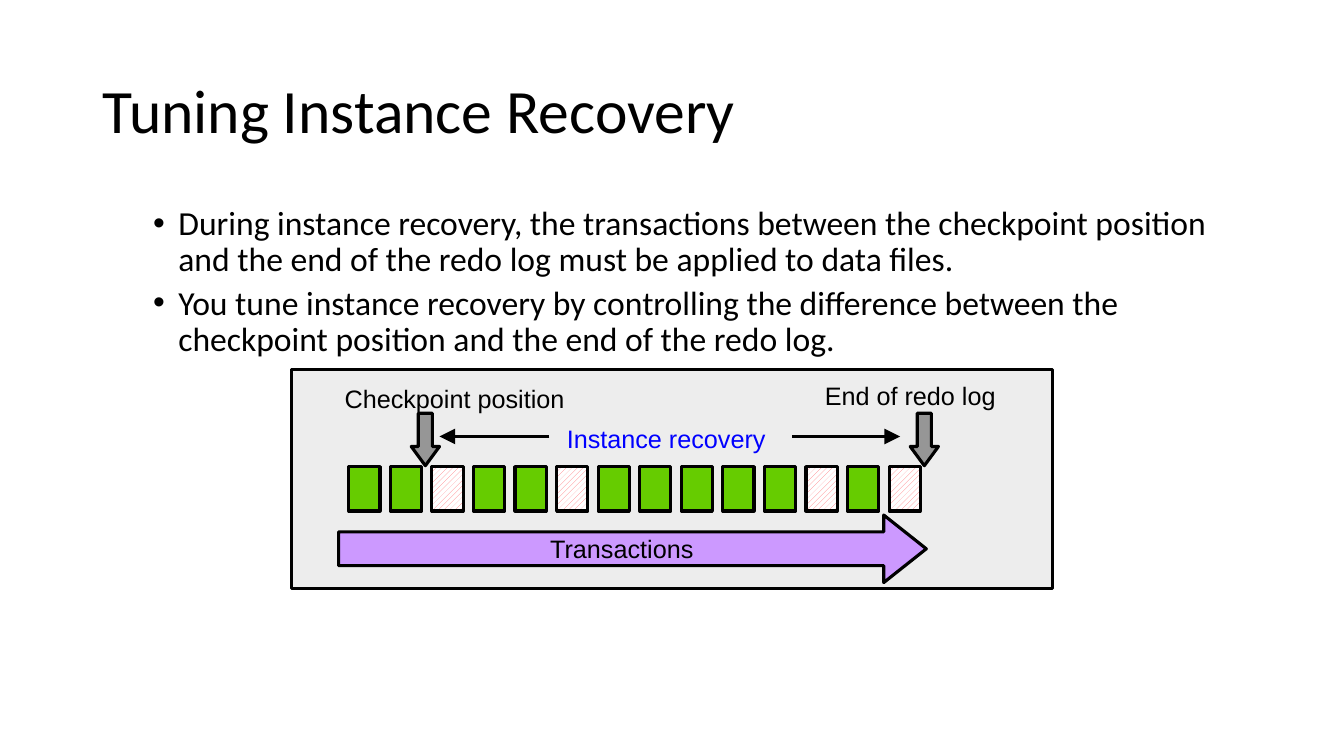
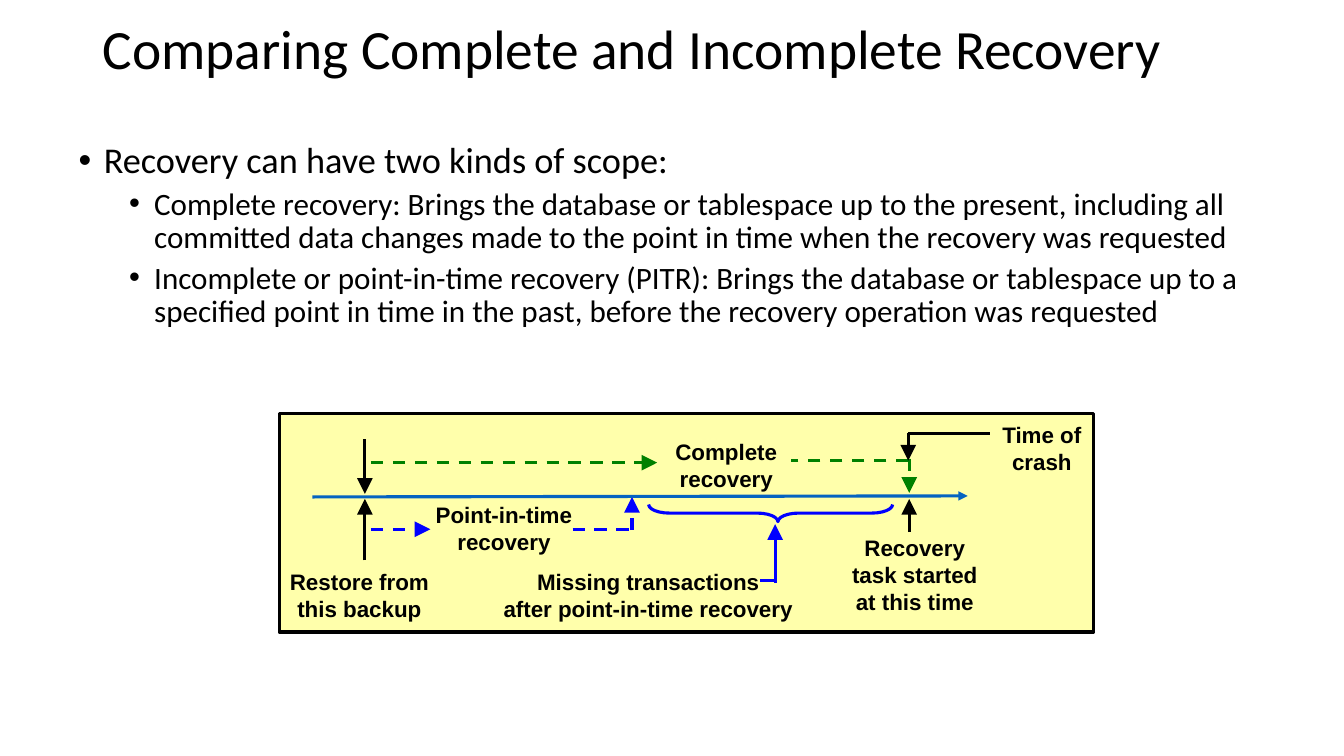
"""Builds two slides on database recovery, laid out on a grid of tenth-inch columns and rows."""
from dataclasses import dataclass
from typing import Optional

from lxml.etree import SubElement
from pptx import Presentation
from pptx.dml.color import RGBColor
from pptx.enum.dml import MSO_LINE, MSO_PATTERN
from pptx.enum.shapes import MSO_CONNECTOR, MSO_SHAPE
from pptx.enum.text import MSO_ANCHOR, MSO_AUTO_SIZE, PP_ALIGN
from pptx.oxml.ns import qn
from pptx.shapes.autoshape import Shape
from pptx.shapes.shapetree import GroupShapes
from pptx.slide import Slide
from pptx.text.text import TextFrame, _Paragraph as Paragraph
from pptx.util import Inches, Length, Pt

COLUMNS, ROWS = 133.33, 75
BLACK, BLUE, GREEN, AXIS_BLUE = "000000", "0000FF", "008000", "0563C1"
CELL_GREEN, HATCH, WHITE = "66CC00", "FF7C80", "FFFFFF"
ARROW_GREY, ARROW_PURPLE = "969696", "CC99FF"
PANEL_GREY, PANEL_YELLOW = "EDEDED", "FFFFAB"
TITLE_FONT, LABEL_FONT = "Calibri", "Arial"
LINE_WIDTH = Pt(2.25)
CELL_COUNT, HATCHED_CELLS = 14, {2, 5, 11, 13}
FIRST_CELL, LAST_CELL = 34.6, 88.2


@dataclass(frozen=True)
class Box:
    left: float
    top: float
    width: float
    height: float

    def emu(self) -> tuple[Length, ...]:
        return tuple(grid(n) for n in (self.left, self.top, self.width, self.height))


@dataclass(frozen=True)
class Bullet:
    text: str
    level: int
    size: float


@dataclass(frozen=True)
class Label:
    text: str
    box: Box
    size: float = 16
    bold: bool = True
    color: str = BLACK
    spacing: float = 1.0


@dataclass(frozen=True)
class Segment:
    start: tuple[float, float]
    end: tuple[float, float]
    color: str = BLACK
    head: Optional[str] = "lg"
    dashed: bool = False


def grid(units: float) -> Length:
    return Inches(units / 10)


def rgb(value: str) -> RGBColor:
    return RGBColor.from_string(value)


def add_run(paragraph: Paragraph, text: str, size: float, font: str,
            color: str = BLACK, bold: bool = False) -> None:
    run = paragraph.add_run()
    run.text = text
    run.font.name, run.font.size, run.font.bold = font, Pt(size), bold
    run.font.color.rgb = rgb(color)


def write_label(frame: TextFrame, label: Label) -> None:
    frame.word_wrap = False
    paragraph = frame.paragraphs[0]
    paragraph.alignment = PP_ALIGN.CENTER
    paragraph.line_spacing = label.spacing
    for number, line in enumerate(label.text.split("\n")):
        if number:
            paragraph.add_line_break()
        add_run(paragraph, line, label.size, LABEL_FONT, label.color, label.bold)


def add_label(canvas: GroupShapes, label: Label) -> None:
    write_label(canvas.add_textbox(*label.box.emu()).text_frame, label)


def add_outlined(canvas: GroupShapes, kind: MSO_SHAPE, box: Box, fill: Optional[str],
                 line: str = BLACK, adjustments: tuple[float, ...] = ()) -> Shape:
    shape = canvas.add_shape(kind, *box.emu())
    shape.shadow.inherit = False
    if fill:
        shape.fill.solid()
        shape.fill.fore_color.rgb = rgb(fill)
    else:
        shape.fill.background()
    shape.line.color.rgb = rgb(line)
    shape.line.width = LINE_WIDTH
    for index, value in enumerate(adjustments):
        shape.adjustments[index] = value
    return shape


def add_segment(canvas: GroupShapes, segment: Segment) -> None:
    ends = (grid(n) for n in (*segment.start, *segment.end))
    connector = canvas.add_connector(MSO_CONNECTOR.STRAIGHT, *ends)
    line = connector.line
    line.color.rgb = rgb(segment.color)
    line.width = LINE_WIDTH
    if segment.dashed:
        line.dash_style = MSO_LINE.DASH
    if segment.head:
        SubElement(line._get_or_add_ln(), qn("a:tailEnd"),
                   type="triangle", w=segment.head, len=segment.head)
    SubElement(connector._element.spPr, qn("a:effectLst"))


def place(shape: Shape, box: Box) -> TextFrame:
    shape.left, shape.top, shape.width, shape.height = box.emu()
    frame = shape.text_frame
    frame.word_wrap = True
    frame.auto_size = MSO_AUTO_SIZE.NONE
    return frame


def add_bullet(paragraph: Paragraph, bullet: Bullet) -> None:
    paragraph.level = bullet.level
    paragraph.line_spacing = 0.9
    paragraph.space_before = Pt(5 if bullet.level else 10)
    properties = paragraph._p.get_or_add_pPr()
    properties.set("marL", str(Inches(0.25 + 0.5 * bullet.level)))
    properties.set("indent", str(Inches(-0.25)))
    SubElement(properties, qn("a:buFont"), typeface=LABEL_FONT)
    SubElement(properties, qn("a:buChar"), char="•")
    add_run(paragraph, bullet.text, bullet.size, TITLE_FONT)


def add_text_slide(presentation: Presentation, title: str, title_size: float, title_box: Box,
                   bullets: list[Bullet], body_box: Box) -> Slide:
    slide = presentation.slides.add_slide(presentation.slide_layouts[1])
    title_frame = place(slide.shapes.title, title_box)
    title_frame.vertical_anchor = MSO_ANCHOR.MIDDLE
    heading = title_frame.paragraphs[0]
    heading.alignment = PP_ALIGN.LEFT
    heading.line_spacing = 0.9
    add_run(heading, title, title_size, TITLE_FONT)
    body_frame = place(slide.placeholders[1], body_box)
    for number, bullet in enumerate(bullets):
        add_bullet(body_frame.add_paragraph() if number else body_frame.paragraphs[0], bullet)
    return slide


def add_transaction_cells(canvas: GroupShapes) -> None:
    pitch = (LAST_CELL - FIRST_CELL) / (CELL_COUNT - 1)
    for index in range(CELL_COUNT):
        box = Box(FIRST_CELL + index * pitch, 46.3, 3.1, 4.4)
        cell = add_outlined(canvas, MSO_SHAPE.RECTANGLE, box, CELL_GREEN)
        if index in HATCHED_CELLS:
            cell.fill.patterned()
            cell.fill.pattern = MSO_PATTERN.WIDE_UPWARD_DIAGONAL
            cell.fill.fore_color.rgb = rgb(HATCH)
            cell.fill.back_color.rgb = rgb(WHITE)


def build_tuning_slide(presentation: Presentation) -> None:
    bullets = [
        Bullet("During instance recovery, the transactions between the checkpoint position "
               "and the end of the redo log must be applied to data files.", 1, 24),
        Bullet("You tune instance recovery by controlling the difference between the "
               "checkpoint position and the end of the redo log.", 1, 24),
    ]
    slide = add_text_slide(presentation, "Tuning Instance Recovery", 44,
                           Box(9.2, 4, 115, 14.5), bullets, Box(9.2, 20, 115, 47.6))
    canvas = slide.shapes.add_group_shape().shapes
    add_outlined(canvas, MSO_SHAPE.RECTANGLE, Box(28.9, 36.7, 75.5, 21.7), PANEL_GREY)
    add_transaction_cells(canvas)
    labels = [
        Label("End of redo log", Box(77.8, 37.5, 25, 3.9), 18, False, spacing=0.95),
        Label("Checkpoint position", Box(33.1, 37.5, 24, 4), 18, False),
        Label("Instance recovery", Box(53.6, 41.7, 25, 3.9), 18, False, BLUE, 0.95),
    ]
    for label in labels:
        add_label(canvas, label)
    for left in (40.8, 90.3):
        add_outlined(canvas, MSO_SHAPE.DOWN_ARROW, Box(left, 41, 2.8, 5.2), ARROW_GREY,
                     adjustments=(0.5, 0.68))
    band = Box(33.6, 51.1, 58.3, 6.7)
    arrow = add_outlined(canvas, MSO_SHAPE.RIGHT_ARROW, band, ARROW_PURPLE,
                         adjustments=(0.5, 0.63))
    arrow.text_frame.vertical_anchor = MSO_ANCHOR.MIDDLE
    write_label(arrow.text_frame, Label("Transactions", band, 18, False))
    for start, end in ((54.5, 43.6), (78.6, 89.3)):
        add_segment(canvas, Segment((start, 43.3), (end, 43.3)))


def build_comparison_slide(presentation: Presentation) -> None:
    bullets = [
        Bullet("Recovery can have two kinds of scope:", 0, 25.9),
        Bullet("Complete recovery: Brings the database or tablespace up to the present, "
               "including all committed data changes made to the point in time when the "
               "recovery was requested", 1, 22.2),
        Bullet("Incomplete or point-in-time recovery (PITR): Brings the database or "
               "tablespace up to a specified point in time in the past, before the recovery "
               "operation was requested", 1, 22.2),
    ]
    slide = add_text_slide(presentation, "Comparing Complete and Incomplete Recovery", 39.6,
                           Box(9.2, 1.6, 115, 7), bullets, Box(6.8, 13.6, 119.7, 20.6))
    canvas = slide.shapes.add_group_shape().shapes
    add_outlined(canvas, MSO_SHAPE.RECTANGLE, Box(27.7, 41, 80.8, 21.7), PANEL_YELLOW)
    segments = [
        Segment((62.7, 52.6), (62.7, 49.3), BLUE, dashed=True),
        Segment((77, 57.6), (75.4, 57.6), BLUE, None),
        Segment((31, 49.3), (96, 49.2), AXIS_BLUE, "med"),
        Segment((90.2, 52.8), (90.2, 49.5)),
        Segment((90.2, 45.5), (90.2, 48.9), GREEN, dashed=True),
        Segment((90.1, 45.7), (78.5, 45.7), GREEN, None, True),
        Segment((36.8, 45.9), (65.2, 45.9), GREEN, dashed=True),
        Segment((36.8, 52.5), (42.7, 52.5), BLUE, dashed=True),
        Segment((56.8, 52.5), (62.7, 52.5), BLUE, None, True),
        Segment((76.9, 57.8), (76.9, 52), BLUE),
        Segment((36.2, 55.6), (36.2, 49.5)),
        Segment((36.2, 43.6), (36.2, 49)),
        Segment((90.1, 43), (98.2, 43), head=None),
        Segment((90.1, 43), (90.1, 45.7)),
    ]
    for segment in segments:
        add_segment(canvas, segment)
    brace = add_outlined(canvas, MSO_SHAPE.LEFT_BRACE, Box(75.6, 38.8, 1.7, 24.2), None, BLUE,
                         (1.21, 0.53))
    brace.rotation = 270
    labels = [
        Label("Recovery\ntask started\nat this time", Box(83.5, 52.5, 14.5, 9)),
        Label("Complete\nrecovery", Box(66, 43, 12.1, 6.4)),
        Label("Point-in-time\nrecovery", Box(42.2, 49.2, 15.6, 6.4)),
        Label("Missing transactions\nafter point-in-time recovery", Box(48.9, 55.9, 30.8, 6.4)),
        Label("Restore from\nthis backup", Box(27.7, 55.9, 15.9, 6.4)),
        Label("Time of\ncrash", Box(98.4, 41.3, 9.9, 6.4)),
    ]
    for label in labels:
        add_label(canvas, label)


def main() -> None:
    presentation = Presentation()
    presentation.slide_width, presentation.slide_height = grid(COLUMNS), grid(ROWS)
    build_tuning_slide(presentation)
    build_comparison_slide(presentation)
    presentation.save("out.pptx")


if __name__ == "__main__":
    main()
